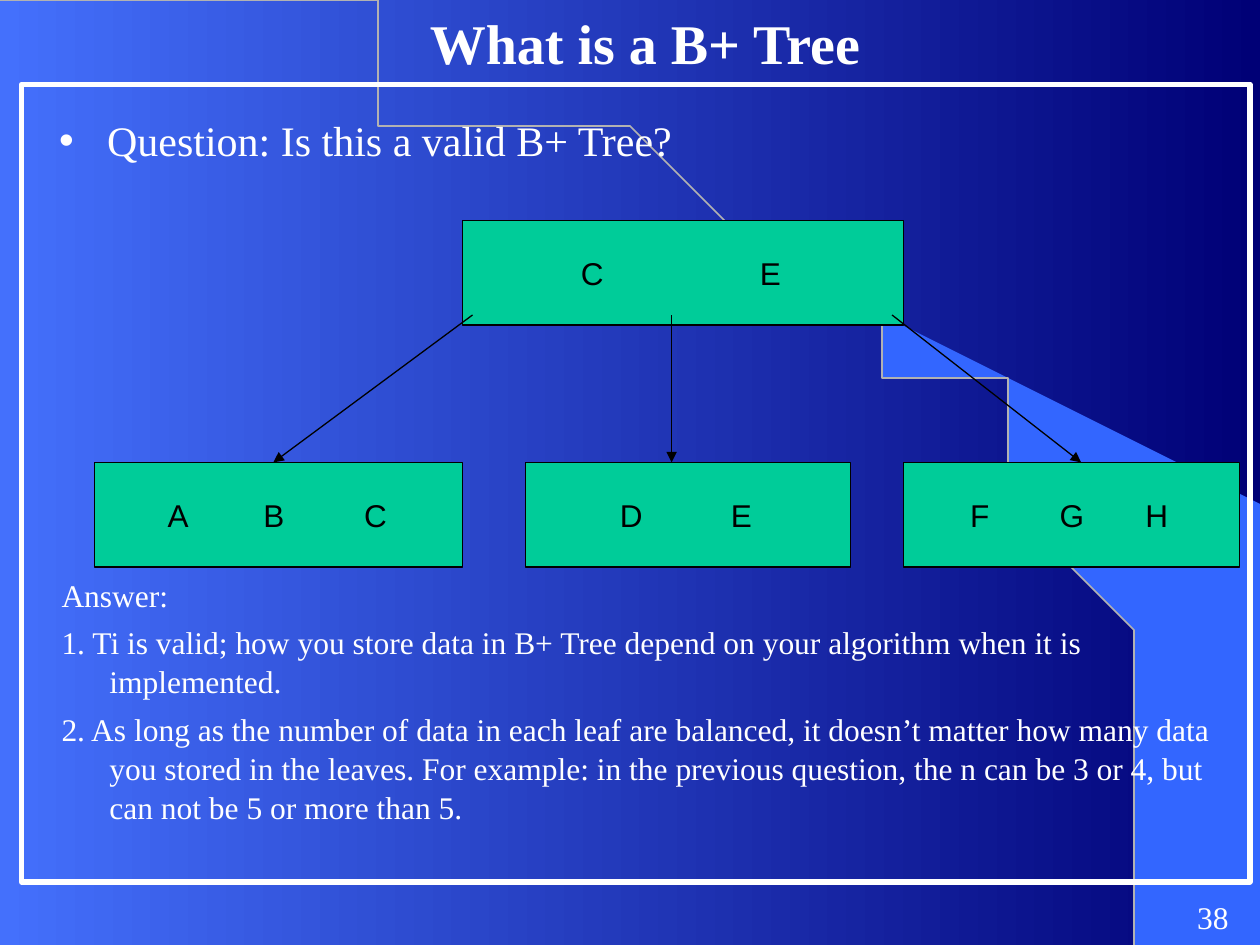
"""Build the slide that asks whether a small B+ tree is valid."""
from lxml.etree import SubElement
from pptx import Presentation
from pptx.dml.color import RGBColor
from pptx.enum.shapes import MSO_CONNECTOR, MSO_SHAPE
from pptx.enum.text import MSO_ANCHOR, PP_ALIGN
from pptx.oxml.ns import qn
from pptx.util import Inches, Pt

WHITE, BLACK, GREEN = "FFFFFF", "000000", "00CC99"
SERIF, SANS = "Times New Roman", "Arial"


def color(value):
    """Turn a hex string into a colour."""
    return RGBColor.from_string(value)


def add_run(paragraph, text, size, font_name, font_color, bold=False):
    """Add one formatted run to a paragraph."""
    run = paragraph.add_run()
    run.text = text
    run.font.size = Pt(size)
    run.font.name = font_name
    run.font.bold = bold
    run.font.color.rgb = color(font_color)


presentation = Presentation()
presentation.slide_width = Inches(10)
presentation.slide_height = Inches(7.5)
slide = presentation.slides.add_slide(presentation.slide_layouts[1])
shapes = slide.shapes

background = slide.background.fill
background.gradient()
background.gradient_angle = 0
for stop, stop_color in zip(background.gradient_stops, ("4470FC", "000076")):
    stop.color.rgb = color(stop_color)

steps = 60
arc = []
for step in range(steps + 1):
    t = step / steps
    near, middle, far = 3 * t * (1 - t) ** 2, 3 * t**2 * (1 - t), t**3
    arc.append((5.12 * near + 9.28 * middle + 9.28 * far, 3.39 * middle + 7.5 * far))
wedge = [point for point in arc if point[1] >= 1.7] + [(10, 7.5), (10, 4.24)]

for position, (points, closed) in enumerate(((wedge, True), (arc, False))):
    builder = shapes.build_freeform(*points[0], scale=Inches(1))
    builder.add_line_segments(points[1:], close=closed)
    shape = builder.convert_to_shape()
    shape.shadow.inherit = False
    if closed:
        shape.fill.solid()
        shape.fill.fore_color.rgb = color("3366FF")
        shape.line.fill.background()
    else:
        shape.fill.background()
        shape.line.color.rgb = color("B2B2B2")
        shape.line.width = Pt(1)
    shapes.element.insert(2 + position, shape.element)

number_box = shapes.add_textbox(Inches(7.67), Inches(7.08), Inches(2.08), Inches(0.42))
number_box.text_frame.word_wrap = True
number_box.text_frame.margin_left = number_box.text_frame.margin_right = 0
paragraph = number_box.text_frame.paragraphs[0]
paragraph.alignment = PP_ALIGN.RIGHT
add_run(paragraph, "38", 18, SERIF, WHITE)

title = shapes.title
title.left, title.top, title.width, title.height = Inches(0.39), 0, Inches(9.46), Inches(0.67)
title.text_frame.vertical_anchor = MSO_ANCHOR.MIDDLE
paragraph = title.text_frame.paragraphs[0]
paragraph.alignment = PP_ALIGN.CENTER
add_run(paragraph, "What is a B+ Tree", 32, SERIF, WHITE, bold=True)

body = slide.placeholders[1]
body.left, body.top = Inches(0.37), Inches(0.86)
body.width, body.height = Inches(9.46), Inches(6.14)
paragraph = body.text_frame.paragraphs[0]
properties = paragraph._p.get_or_add_pPr()
properties.set("marL", str(Inches(0.38)))
properties.set("indent", str(-Inches(0.38)))
bullet_color = SubElement(properties, qn("a:buClr"))
SubElement(bullet_color, qn("a:srgbClr"), val=WHITE)
SubElement(properties, qn("a:buChar"), char="•")
paragraph.space_before = Pt(0)
add_run(paragraph, "Question: Is this a valid B+ Tree?", 24, SERIF, WHITE)

nodes = [
    (3.67, 1.75, 3.5, {"C": 4.61, "E": 6.03}),
    (0.75, 3.67, 2.92, {"A": 1.33, "B": 2.09, "C": 2.89}),
    (4.17, 3.67, 2.58, {"D": 4.92, "E": 5.8}),
    (7.17, 3.67, 2.67, {"F": 7.7, "G": 8.41, "H": 9.09}),
]
for left, top, width, keys in nodes:
    node = shapes.add_shape(
        MSO_SHAPE.RECTANGLE, Inches(left), Inches(top), Inches(width), Inches(0.83)
    )
    node.shadow.inherit = False
    node.fill.solid()
    node.fill.fore_color.rgb = color(GREEN)
    node.line.color.rgb = color(BLACK)
    node.line.width = Pt(0.75)
    first, *others = keys.values()
    frame = node.text_frame
    frame.word_wrap = True
    frame.vertical_anchor = MSO_ANCHOR.MIDDLE
    frame.margin_left = Inches(first - left)
    frame.margin_right = 0
    paragraph = frame.paragraphs[0]
    tab_list = SubElement(paragraph._p.get_or_add_pPr(), qn("a:tabLst"))
    for key_left in others:
        SubElement(tab_list, qn("a:tab"), pos=str(Inches(key_left - first)), algn="l")
    paragraph.alignment = PP_ALIGN.LEFT
    add_run(paragraph, "\t".join(keys), 18, SANS, BLACK)

for start, end in ((5.33, 5.33), (7.08, 8.58), (3.75, 2.17)):
    arrow = shapes.add_connector(
        MSO_CONNECTOR.STRAIGHT, Inches(start), Inches(2.5), Inches(end), Inches(3.67)
    )
    arrow.line.color.rgb = color(BLACK)
    arrow.line.width = Pt(0.75)
    SubElement(arrow.line._get_or_add_ln(), qn("a:tailEnd"), type="triangle")
    SubElement(arrow.element.spPr, qn("a:effectLst"))

border = shapes.add_shape(
    MSO_SHAPE.RECTANGLE, Inches(0.17), Inches(0.67), Inches(9.75), Inches(6.33)
)
border.shadow.inherit = False
border.fill.background()
border.line.color.rgb = color(WHITE)
border.line.width = Pt(3)

answer_box = shapes.add_textbox(Inches(0.39), Inches(4.51), Inches(9.46), Inches(2.17))
answer_box.text_frame.word_wrap = True
answers = [
    "Answer:",
    "1. Ti is valid; how you store data in B+ Tree depend on your algorithm when it is "
    "implemented.",
    "2. As long as the number of data in each leaf are balanced, it doesn’t matter how many "
    "data you stored in the leaves. For example: in the previous question, the n can be 3 or "
    "4, but can not be 5 or more than 5.",
]
for index, answer in enumerate(answers):
    frame = answer_box.text_frame
    paragraph = frame.add_paragraph() if index else frame.paragraphs[0]
    properties = paragraph._p.get_or_add_pPr()
    properties.set("marL", str(Inches(0.38)))
    properties.set("indent", str(-Inches(0.38)))
    paragraph.space_before = Pt(4.5 if index else 0)
    paragraph.line_spacing = 1.04
    add_run(paragraph, answer, 18, SERIF, WHITE)

presentation.save("out.pptx")
